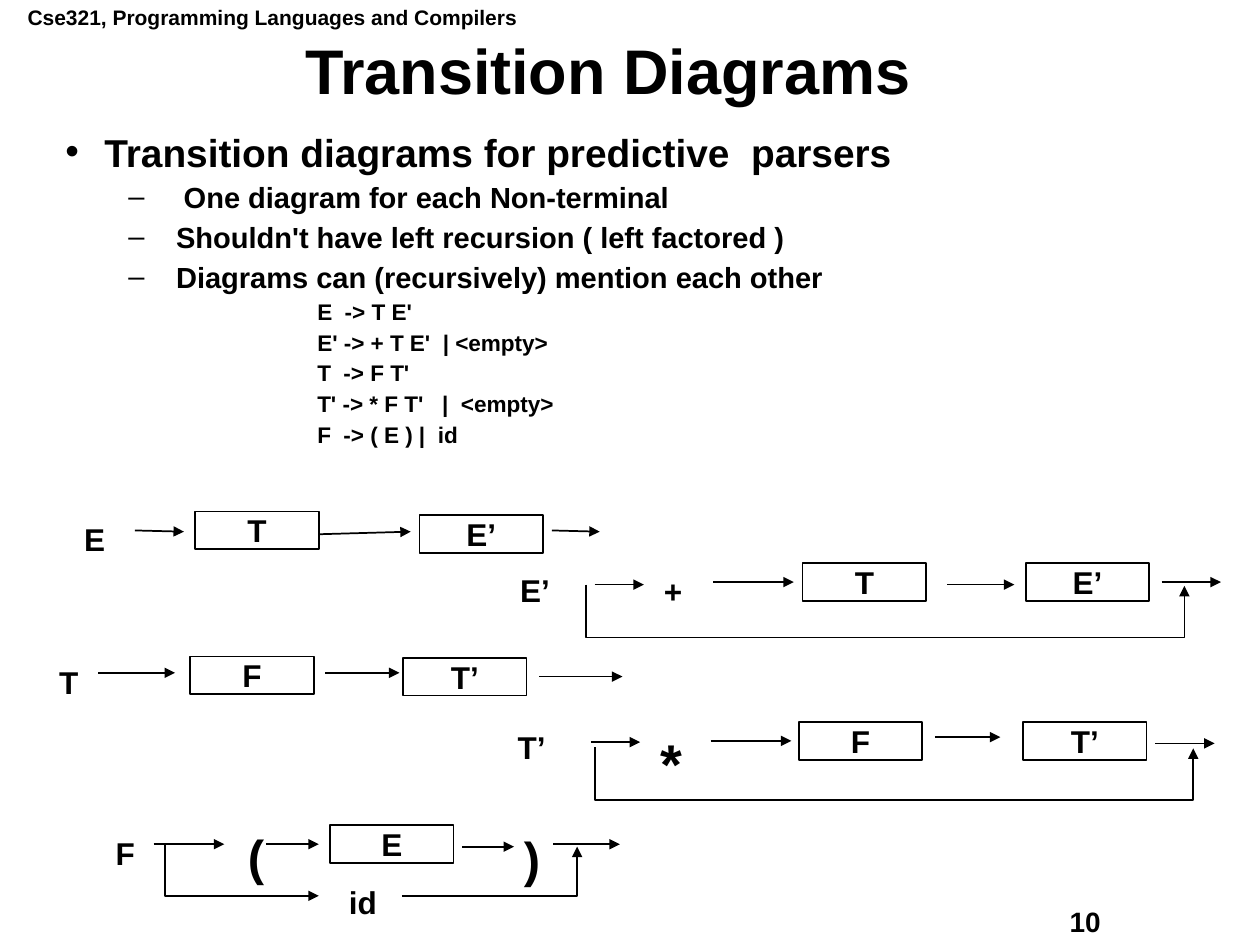
from dataclasses import dataclass

import pptx
import pptx.dml.color
import pptx.enum.shapes
import pptx.enum.text
import pptx.oxml
import pptx.oxml.ns
import pptx.util

Inches = pptx.util.Inches
Pt = pptx.util.Pt
PP_ALIGN = pptx.enum.text.PP_ALIGN
ANCHOR = pptx.enum.text.MSO_ANCHOR
AUTO_SIZE = pptx.enum.text.MSO_AUTO_SIZE
SHAPE = pptx.enum.shapes.MSO_SHAPE
STRAIGHT = pptx.enum.shapes.MSO_CONNECTOR.STRAIGHT


@dataclass
class Theme:
    font: str = "Arial"
    ink: pptx.dml.color.RGBColor = pptx.dml.color.RGBColor(0, 0, 0)
    paper: pptx.dml.color.RGBColor = pptx.dml.color.RGBColor(255, 255, 255)
    course: float = 12
    title: float = 36
    label: float = 18
    bracket: float = 28
    star: float = 32
    number: float = 16
    line: float = 1


THEME = Theme()

# Level: (size, space before, bullet)
LEVELS = {
    "topic": (22.2, 9, "•"),
    "point": (16.6, 6.8, "–"),
    "rule": (12.9, 5.2, None),
}
# Text, level, left margin, first-line indent
OUTLINE = [
    ("Transition diagrams for predictive  parsers", "topic", 0.31, -0.31),
    ("One diagram for each Non-terminal", "point", 0.94, -0.44),
    ("Shouldn't have left recursion ( left factored )", "point", 0.88, -0.38),
    ("Diagrams can (recursively) mention each other", "point", 0.88, -0.38),
    ("E  -> T E'", "rule", 2, 0),
    ("E' -> + T E'  | <empty>", "rule", 2, 0),
    ("T  -> F T'", "rule", 2, 0),
    ("T' -> * F T'   |  <empty>", "rule", 2, 0),
    ("F  -> ( E ) |  id", "rule", 2, 0),
]

# Boxes: text, left, top. Labels: text, left, top, width, size.
# Arrows: from x, y to x, y. Bypasses: corner points.
DIAGRAMS = [
    dict(
        boxes=[("T", 1.55, 4.06), ("E’", 3.33, 4.09)],
        labels=[("E", 0.57, 4.08, 0.37, THEME.label)],
        arrows=[(1.07, 4.21, 1.46, 4.22), (2.54, 4.24, 3.26, 4.22), (4.38, 4.21, 4.76, 4.22)],
        bypasses=[],
    ),
    dict(
        boxes=[("F", 1.51, 5.21), ("T’", 3.2, 5.22)],
        labels=[("T", 0.37, 5.21, 0.35, THEME.label)],
        arrows=[(0.78, 5.34, 1.39, 5.34), (2.58, 5.34, 3.17, 5.34), (4.28, 5.37, 4.94, 5.37)],
        bypasses=[],
    ),
    dict(
        boxes=[("T", 6.37, 4.47), ("E’", 8.14, 4.47)],
        labels=[("E’", 4.03, 4.48, 0.48, THEME.label), ("+", 5.17, 4.49, 0.36, THEME.label)],
        arrows=[(4.72, 4.64, 5.11, 4.64), (5.66, 4.62, 6.3, 4.62),
                (7.52, 4.64, 8.05, 4.64), (9.22, 4.62, 9.69, 4.62)],
        bypasses=[[(4.65, 4.64), (4.65, 5.06), (9.4, 5.06), (9.4, 4.65)]],
    ),
    dict(
        boxes=[("F", 6.34, 5.73), ("T’", 8.12, 5.73)],
        labels=[("T’", 4.01, 5.73, 0.46, THEME.label), ("*", 5.14, 5.73, 0.37, THEME.star)],
        arrows=[(4.69, 5.89, 5.08, 5.89), (5.64, 5.88, 6.28, 5.88),
                (7.42, 5.85, 7.94, 5.85), (9.17, 5.9, 9.64, 5.9)],
        bypasses=[[(4.72, 5.93), (4.72, 6.35), (9.47, 6.35), (9.47, 5.94)]],
    ),
    dict(
        boxes=[("E", 2.62, 6.55)],
        labels=[("F", 0.82, 6.57, 0.35, THEME.label), ("(", 1.87, 6.51, 0.33, THEME.bracket),
                (")", 4.06, 6.53, 0.33, THEME.bracket), ("id", 2.67, 6.96, 0.52, THEME.label)],
        arrows=[(1.22, 6.7, 1.78, 6.7), (2.11, 6.7, 2.53, 6.7),
                (3.67, 6.72, 4.08, 6.72), (4.39, 6.7, 4.92, 6.7)],
        bypasses=[[(1.31, 6.7), (1.31, 7.11), (2.53, 7.11)],
                  [(3.19, 7.11), (4.58, 7.11), (4.58, 6.72)]],
    ),
]


class SlideBuilder:
    def __init__(self, page, theme):
        self.page = page
        self.theme = theme

    def style(self, para, size):
        for span in para.runs:
            span.font.name = self.theme.font
            span.font.size = Pt(size)
            span.font.bold = True
            span.font.color.rgb = self.theme.ink

    def label(self, shapes, text, left, top, width, size):
        """Add a one-line text box whose height follows its type size."""
        box = shapes.add_textbox(Inches(left), Inches(top), Inches(width), Inches(0.1 + size / 60))
        frame = box.text_frame
        frame.word_wrap = False
        frame.auto_size = AUTO_SIZE.SHAPE_TO_FIT_TEXT
        frame.text = text
        self.style(frame.paragraphs[0], size)

    def title(self, text):
        box = self.page.shapes.add_textbox(Inches(0.31), Inches(0.31), Inches(9.03), Inches(0.56))
        frame = box.text_frame
        frame.word_wrap = True
        frame.vertical_anchor = ANCHOR.MIDDLE
        frame.text = text
        para = frame.paragraphs[0]
        para.alignment = PP_ALIGN.CENTER
        para.line_spacing = 0.9
        self.style(para, self.theme.title)

    def outline(self, entries):
        box = self.page.shapes.add_textbox(Inches(0.42), Inches(1.04), Inches(9.47), Inches(2.65))
        frame = box.text_frame
        frame.word_wrap = True
        for index, (text, level, margin, indent) in enumerate(entries):
            para = frame.add_paragraph() if index else frame.paragraphs[0]
            size, space, bullet = LEVELS[level]
            para.text = text
            para.line_spacing = 0.8
            if index:
                para.space_before = Pt(space)
            properties = para._p.get_or_add_pPr()
            properties.set("marL", str(Inches(margin)))
            properties.set("indent", str(Inches(indent)))
            if bullet:
                for tag, name, value in (("a:buFont", "typeface", self.theme.font),
                                         ("a:buChar", "char", bullet)):
                    element = pptx.oxml.parse_xml(f'<{tag} {pptx.oxml.ns.nsdecls("a")}/>')
                    element.set(name, value)
                    properties.append(element)
            self.style(para, size)

    def symbol_box(self, shapes, text, left, top):
        box = shapes.add_shape(SHAPE.RECTANGLE, Inches(left), Inches(top), Inches(0.98), Inches(0.3))
        box.shadow.inherit = False
        box.fill.solid()
        box.fill.fore_color.rgb = self.theme.paper
        self.outline_line(box.line)
        frame = box.text_frame
        frame.word_wrap = False
        frame.vertical_anchor = ANCHOR.MIDDLE
        frame.text = text
        frame.paragraphs[0].alignment = PP_ALIGN.CENTER
        self.style(frame.paragraphs[0], self.theme.label)

    def outline_line(self, line, arrowhead=False):
        line.color.rgb = self.theme.ink
        line.width = Pt(self.theme.line)
        if arrowhead:
            line._get_or_add_ln().append(pptx.oxml.parse_xml(
                f'<a:tailEnd {pptx.oxml.ns.nsdecls("a")} type="triangle"/>'))

    def arrow(self, shapes, *ends):
        connector = shapes.add_connector(STRAIGHT, *map(Inches, ends))
        self.outline_line(connector.line, arrowhead=True)
        connector._element.spPr.append(
            pptx.oxml.parse_xml(f'<a:effectLst {pptx.oxml.ns.nsdecls("a")}/>'))

    def bypass(self, shapes, corners):
        start, *rest = [(Inches(x), Inches(y)) for x, y in corners]
        builder = shapes.build_freeform(*start)
        builder.add_line_segments(rest, close=False)
        route = builder.convert_to_shape()
        route.shadow.inherit = False
        route.fill.background()
        self.outline_line(route.line, arrowhead=True)

    def diagram(self, boxes, labels, arrows, bypasses):
        shapes = self.page.shapes.add_group_shape().shapes
        for corners in bypasses:
            self.bypass(shapes, corners)
        for box in boxes:
            self.symbol_box(shapes, *box)
        for label in labels:
            self.label(shapes, *label)
        for ends in arrows:
            self.arrow(shapes, *ends)


def main():
    deck = pptx.Presentation()
    deck.slide_width, deck.slide_height = Inches(10), Inches(7.5)
    page = deck.slides.add_slide(deck.slide_layouts[6])
    builder = SlideBuilder(page, THEME)
    builder.label(page.shapes, "Cse321, Programming Languages and Compilers",
                  0.12, -0.01, 4.09, THEME.course)
    builder.label(page.shapes, "10", 8.39, 7.13, 1.27, THEME.number)
    builder.title("Transition Diagrams")
    builder.outline(OUTLINE)
    for diagram in DIAGRAMS:
        builder.diagram(**diagram)
    deck.save("out.pptx")


if __name__ == "__main__":
    main()
